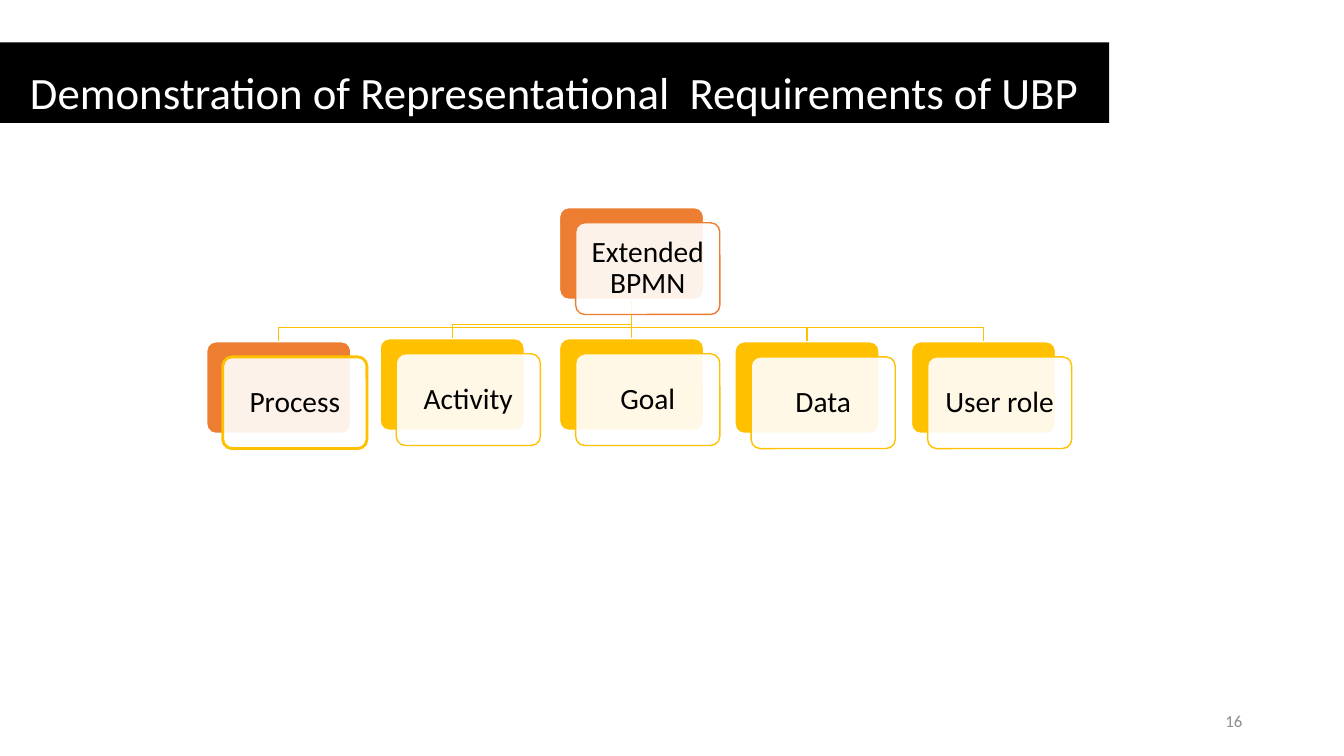
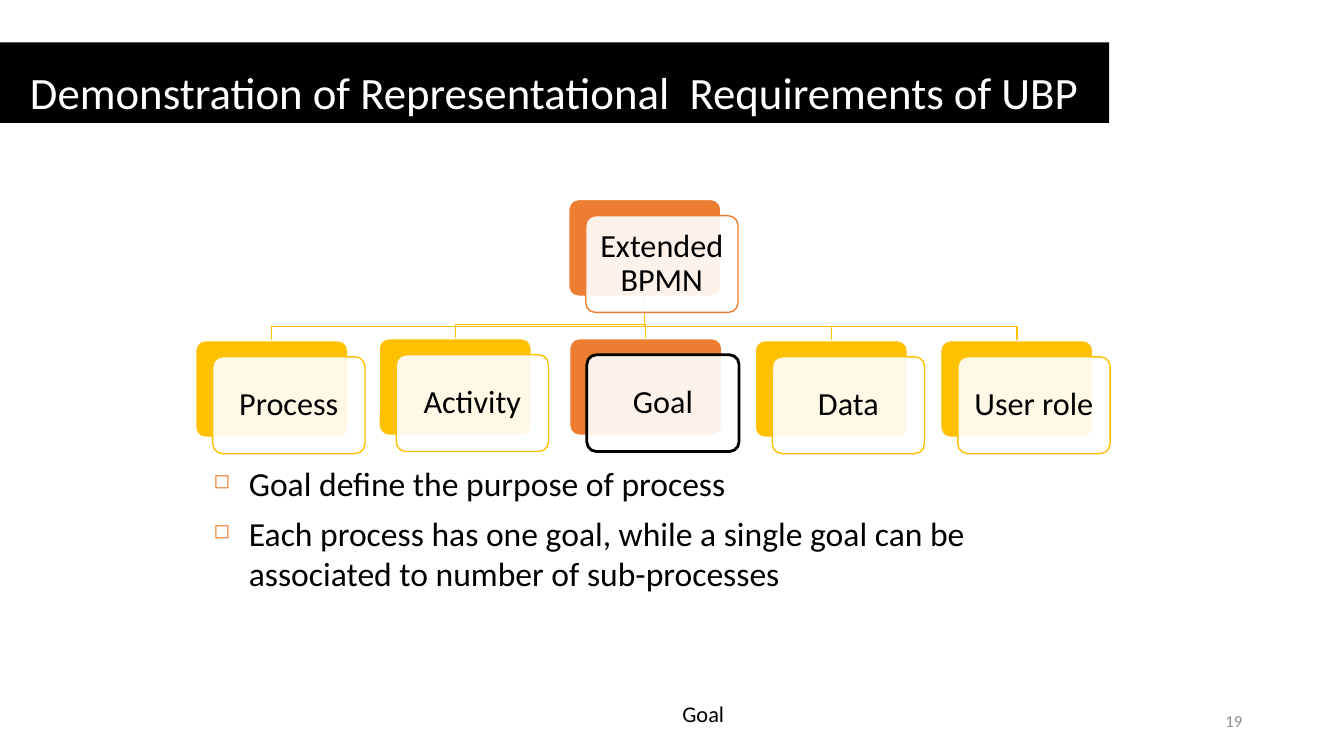
from lxml import etree
from pptx import Presentation
from pptx.dml.color import RGBColor
from pptx.enum.shapes import MSO_SHAPE
from pptx.enum.text import MSO_ANCHOR, PP_ALIGN
from pptx.oxml.ns import qn
from pptx.util import Inches, Pt

BLACK = RGBColor(0x00, 0x00, 0x00)
WHITE = RGBColor(0xFF, 0xFF, 0xFF)
ORANGE = RGBColor(0xED, 0x7D, 0x31)
GOLD = RGBColor(0xFF, 0xC0, 0x00)
GRAY = RGBColor(0x8C, 0x8C, 0x8C)
FONT = "Calibri"

TITLE = "Demonstration of Representational  Requirements of UBP"
ROOT = "Extended BPMN"
PAGES = [
    {
        "number": "16",
        "card": (1.43, 0.91), "offset": (0.16, 0.15), "size": 21,
        "root": (5.55, 2.06),
        "children": [("Process", 2.05, 3.39), ("Activity", 3.77, 3.36), ("Goal", 5.55, 3.36),
                     ("Data", 7.29, 3.39), ("User role", 9.04, 3.39)],
        "highlight": "Process", "highlight_line": GOLD,
        "bullets": [], "caption": None,
    },
    {
        "number": "19",
        "card": (1.51, 0.96), "offset": (0.17, 0.16), "size": 23,
        "root": (5.64, 1.98),
        "children": [("Process", 1.94, 3.38), ("Activity", 3.76, 3.36), ("Goal", 5.65, 3.36),
                     ("Data", 7.49, 3.38), ("User role", 9.33, 3.38)],
        "highlight": "Goal", "highlight_line": BLACK,
        "bullets": [
            "Goal define the purpose of process",
            "Each process has one goal, while a single goal can be associated to number of sub-processes",
        ],
        "caption": "Goal",
    },
]
BEND_GAP = 0.14
CARD_INSET = 0.06
BULLET_INDENT = Inches(0.35)


def write(shape, lines, size, color=BLACK, align=PP_ALIGN.LEFT, anchor=MSO_ANCHOR.TOP,
          spacing=None, before=0, bullet=None, inset=None):
    frame = shape.text_frame
    frame.word_wrap = True
    frame.vertical_anchor = anchor
    if inset is not None:
        frame.margin_left = frame.margin_right = Inches(inset)
        frame.margin_top = frame.margin_bottom = Inches(inset)
    for index, line in enumerate(lines):
        paragraph = frame.add_paragraph() if index else frame.paragraphs[0]
        if bullet:
            add_bullet(paragraph, bullet)
        paragraph.text = line
        paragraph.alignment = align
        if spacing:
            paragraph.line_spacing = spacing
        if index and before:
            paragraph.space_before = Pt(before)
        paragraph.font.name = FONT
        paragraph.font.size = Pt(size)
        paragraph.font.color.rgb = color


def add_bullet(paragraph, character):
    properties = paragraph._p.get_or_add_pPr()
    properties.set("marL", str(BULLET_INDENT))
    properties.set("indent", str(-BULLET_INDENT))
    color = etree.SubElement(properties, qn("a:buClr"))
    etree.SubElement(color, qn("a:srgbClr"), val=str(ORANGE))
    etree.SubElement(properties, qn("a:buSzPct"), val="60000")
    etree.SubElement(properties, qn("a:buChar"), char=character)


def add_text(slide, box, lines, size, **text_format):
    write(slide.shapes.add_textbox(*map(Inches, box)), lines, size, **text_format)


def add_block(slide, kind, box, fill, line=None, weight=1, opacity=None):
    """Add a filled preset shape; opacity is in percent."""
    block = slide.shapes.add_shape(kind, *map(Inches, box))
    block.shadow.inherit = False
    block.fill.solid()
    block.fill.fore_color.rgb = fill
    if opacity:
        fill_color = block._element.spPr.find(qn("a:solidFill"))[0]
        etree.SubElement(fill_color, qn("a:alpha"), val=str(opacity * 1000))
    if line is None:
        block.line.fill.background()
    else:
        block.line.color.rgb = line
        block.line.width = Pt(weight)
    return block


def add_branch(slide, start, end):
    """Draw a right-angled line that bends just above its end."""
    (x1, y1), (x2, y2) = start, end
    bend = y2 - BEND_GAP
    builder = slide.shapes.build_freeform(Inches(x1), Inches(y1))
    corners = [(x1, bend), (x2, bend), (x2, y2)]
    builder.add_line_segments([(Inches(x), Inches(y)) for x, y in corners], close=False)
    branch = builder.convert_to_shape()
    branch.shadow.inherit = False
    branch.fill.background()
    branch.line.color.rgb = GOLD
    branch.line.width = Pt(1)


def add_node(slide, page, label, left, top, fill, line, weight=1):
    """Add a coloured card with a translucent labelled card in front."""
    dx, dy = page["offset"]
    back = add_block(slide, MSO_SHAPE.ROUNDED_RECTANGLE, (left, top, *page["card"]), fill, WHITE)
    front = add_block(slide, MSO_SHAPE.ROUNDED_RECTANGLE, (left + dx, top + dy, *page["card"]),
                      WHITE, line, weight, opacity=90)
    for card in (back, front):
        card.adjustments[0] = 0.1
    write(front, [label], page["size"], align=PP_ALIGN.CENTER, anchor=MSO_ANCHOR.MIDDLE,
          spacing=0.9, inset=CARD_INSET)


def add_hierarchy(slide, page):
    width, height = page["card"]
    root_left, root_top = page["root"]
    for _, left, top in page["children"]:
        add_branch(slide, (root_left + width / 2, root_top + height), (left + width / 2, top))
    add_node(slide, page, ROOT, root_left, root_top, ORANGE, ORANGE)
    for label, left, top in page["children"]:
        if label == page["highlight"]:
            add_node(slide, page, label, left, top, ORANGE, page["highlight_line"], weight=2)
        else:
            add_node(slide, page, label, left, top, GOLD, GOLD)


def add_page(deck, page):
    slide = deck.slides.add_slide(deck.slide_layouts[6])
    add_hierarchy(slide, page)
    if page["bullets"]:
        add_text(slide, (2.02, 4.54, 8.66, 2.08), page["bullets"], 24, before=7, bullet="◻")
    if page["caption"]:
        add_text(slide, (6.67, 6.9, 1.5, 0.37), [page["caption"]], 16)
    band = add_block(slide, MSO_SHAPE.RECTANGLE, (0, 0.42, 11, 0.8), BLACK)
    write(band, [TITLE], 32, color=WHITE, align=PP_ALIGN.CENTER, anchor=MSO_ANCHOR.BOTTOM)
    add_text(slide, (9.42, 6.95, 3, 0.4), [page["number"]], 12, color=GRAY,
             align=PP_ALIGN.RIGHT, anchor=MSO_ANCHOR.MIDDLE)


def main():
    deck = Presentation()
    deck.slide_width = Inches(13.33)
    deck.slide_height = Inches(7.5)
    for page in PAGES:
        add_page(deck, page)
    deck.save("out.pptx")


if __name__ == "__main__":
    main()
